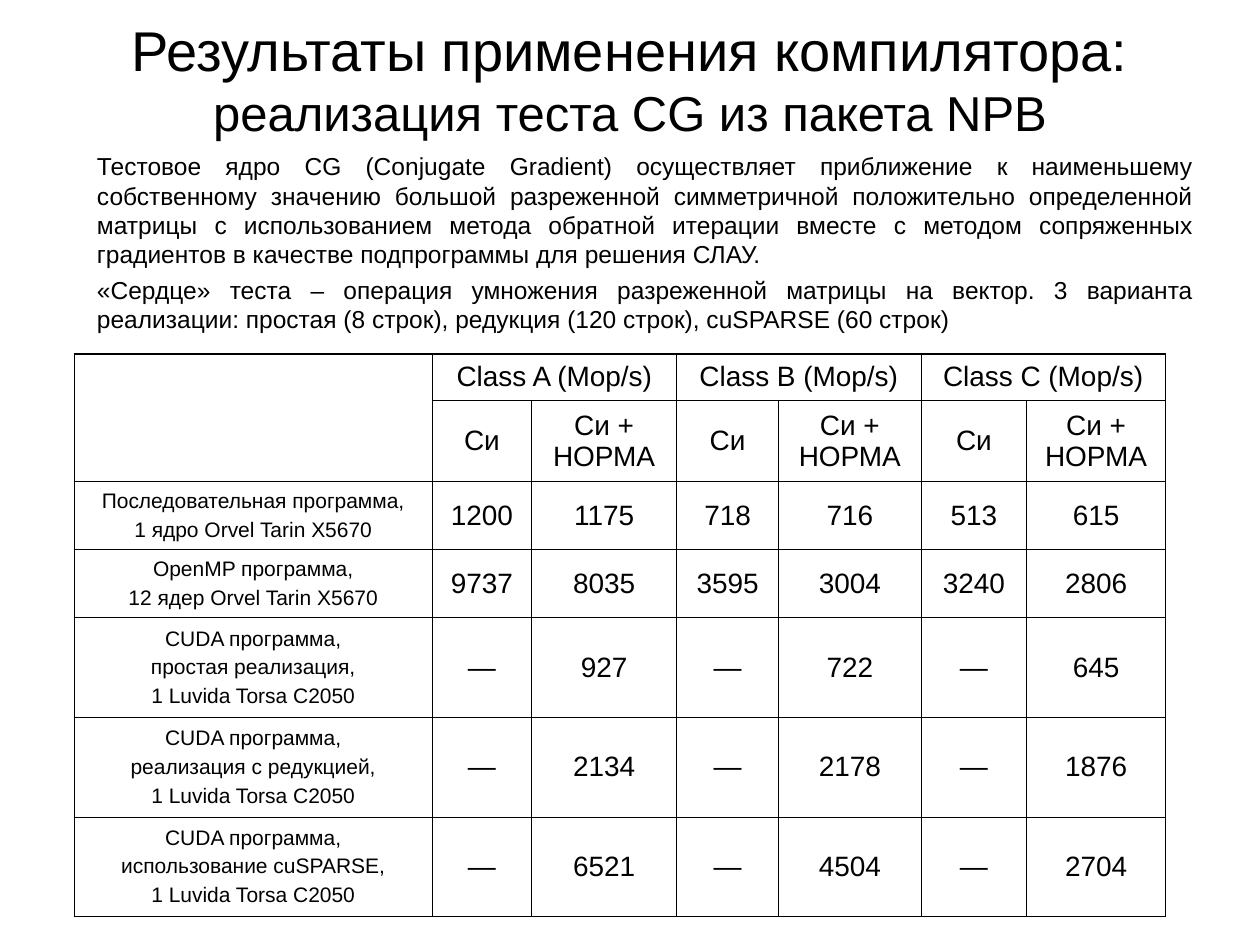
from lxml import etree
from pptx import Presentation
from pptx.dml.color import RGBColor
from pptx.enum.text import MSO_ANCHOR, PP_ALIGN
from pptx.oxml.ns import qn
from pptx.util import Inches, Pt

CENTER, JUSTIFY = PP_ALIGN.CENTER, PP_ALIGN.JUSTIFY
TOP, MIDDLE = MSO_ANCHOR.TOP, MSO_ANCHOR.MIDDLE
FONT, BLACK = "Arial", "000000"
INNER_LINE, OUTER_LINE = 0.45, 1.08

TITLE = [("Результаты применения компилятора: ", 32),
         ("реализация теста CG из пакета NPB", 28)]
DESCRIPTION = [
    "Тестовое ядро CG (Conjugate Gradient) осуществляет приближение к наименьшему "
    "собственному значению большой разреженной симметричной положительно определенной "
    "матрицы с использованием метода обратной итерации вместе с методом сопряженных "
    "градиентов в качестве подпрограммы для решения СЛАУ.",
    "«Сердце» теста – операция умножения разреженной матрицы на вектор. 3 варианта "
    "реализации: простая (8 строк), редукция (120 строк), cuSPARSE (60 строк)",
]

COLUMN_WIDTHS = [2.84, 0.79, 1.15, 0.81, 1.13, 0.84, 1.1]
ROW_HEIGHTS = [0.37, 0.64, 0.54, 0.54, 0.79, 0.79, 0.79]
CLASSES = ["Class A (Mop/s)", "Class B (Mop/s)", "Class C (Mop/s)"]
VERSIONS = ["Си", "Си + НОРМА"]
CPU, GPU = "Orvel Tarin X5670", "Luvida Torsa C2050"
RESULTS = [
    (["Последовательная программа,", f"1 ядро {CPU}"],
     ["1200", "1175", "718", "716", "513", "615"]),
    (["OpenMP программа,", f"12 ядер {CPU}"],
     ["9737", "8035", "3595", "3004", "3240", "2806"]),
    (["CUDA программа,", "простая реализация,", f"1 {GPU}"],
     ["—", "927", "—", "722", "—", "645"]),
    (["CUDA программа,", "реализация с редукцией,", f"1 {GPU}"],
     ["—", "2134", "—", "2178", "—", "1876"]),
    (["CUDA программа,", "использование cuSPARSE,", f"1 {GPU}"],
     ["—", "6521", "—", "4504", "—", "2704"]),
]


def color(hex_code):
    return RGBColor.from_string(hex_code)


def style_run(run, size):
    run.font.name = FONT
    run.font.size = Pt(size)
    run.font.color.rgb = color(BLACK)


def write_lines(frame, lines, size, align, space_before):
    frame.text = "\n".join(lines)
    for paragraph in frame.paragraphs:
        paragraph.alignment = align
        paragraph.space_before = Pt(space_before)
        for run in paragraph.runs:
            style_run(run, size)


def add_text_frame(slide, left, top, width, height, anchor):
    box = slide.shapes.add_textbox(Inches(left), Inches(top), Inches(width), Inches(height))
    frame = box.text_frame
    frame.word_wrap = True
    frame.vertical_anchor = anchor
    return frame


def add_title(slide):
    frame = add_text_frame(slide, 0.75, 0, 8.5, 1.25, MIDDLE)
    heading = frame.paragraphs[0]
    heading.alignment = CENTER
    for text, size in TITLE:
        run = heading.add_run()
        run.text = text
        style_run(run, size)


def add_description(slide):
    frame = add_text_frame(slide, 0, 1.15, 9.57, 1.98, TOP)
    frame.margin_left = Inches(0.77)
    write_lines(frame, DESCRIPTION, 14, JUSTIFY, 3.5)


def set_borders(cell, widths):
    """Draw the left, right, top and bottom lines, widths in points."""
    properties = cell._tc.get_or_add_tcPr()
    for position, (side, width) in enumerate(zip("LRTB", widths)):
        line = etree.Element(qn(f"a:ln{side}"), w=str(Pt(width)))
        fill = etree.SubElement(line, qn("a:solidFill"))
        etree.SubElement(fill, qn("a:srgbClr"), val=BLACK)
        properties.insert(position, line)


def fill_cell(cell, lines, size=16, space_before=4):
    write_lines(cell.text_frame, lines, size, CENTER, space_before)


def add_results_table(slide):
    rows, columns = len(ROW_HEIGHTS), len(COLUMN_WIDTHS)
    table = slide.shapes.add_table(
        rows, columns, Inches(0.59), Inches(2.81),
        Inches(sum(COLUMN_WIDTHS)), Inches(sum(ROW_HEIGHTS))).table
    table.first_row = table.horz_banding = False
    for column, width in zip(table.columns, COLUMN_WIDTHS):
        column.width = Inches(width)
    for row, height in zip(table.rows, ROW_HEIGHTS):
        row.height = Inches(height)

    # Grid: thicker lines around the outside
    for r in range(rows):
        for c in range(columns):
            cell = table.cell(r, c)
            cell.fill.background()
            cell.vertical_anchor = MIDDLE
            at_edge = (c == 0, c == columns - 1, r == 0, r == rows - 1)
            set_borders(cell, [OUTER_LINE if edge else INNER_LINE for edge in at_edge])

    # Two-level header
    table.cell(0, 0).merge(table.cell(1, 0))
    for index, class_name in enumerate(CLASSES):
        first = 1 + index * len(VERSIONS)
        table.cell(0, first).merge(table.cell(0, first + 1))
        fill_cell(table.cell(0, first), [class_name])
        for offset, version in enumerate(VERSIONS):
            fill_cell(table.cell(1, first + offset), [version])

    # Measurements
    for r, (program, values) in enumerate(RESULTS, start=2):
        fill_cell(table.cell(r, 0), program, size=12, space_before=3)
        for c, value in enumerate(values, start=1):
            fill_cell(table.cell(r, c), [value])


def main():
    presentation = Presentation()
    presentation.slide_width = Inches(10)
    presentation.slide_height = Inches(7.5)
    slide = presentation.slides.add_slide(presentation.slide_layouts[6])
    add_title(slide)
    add_description(slide)
    add_results_table(slide)
    presentation.save("out.pptx")


if __name__ == "__main__":
    main()
